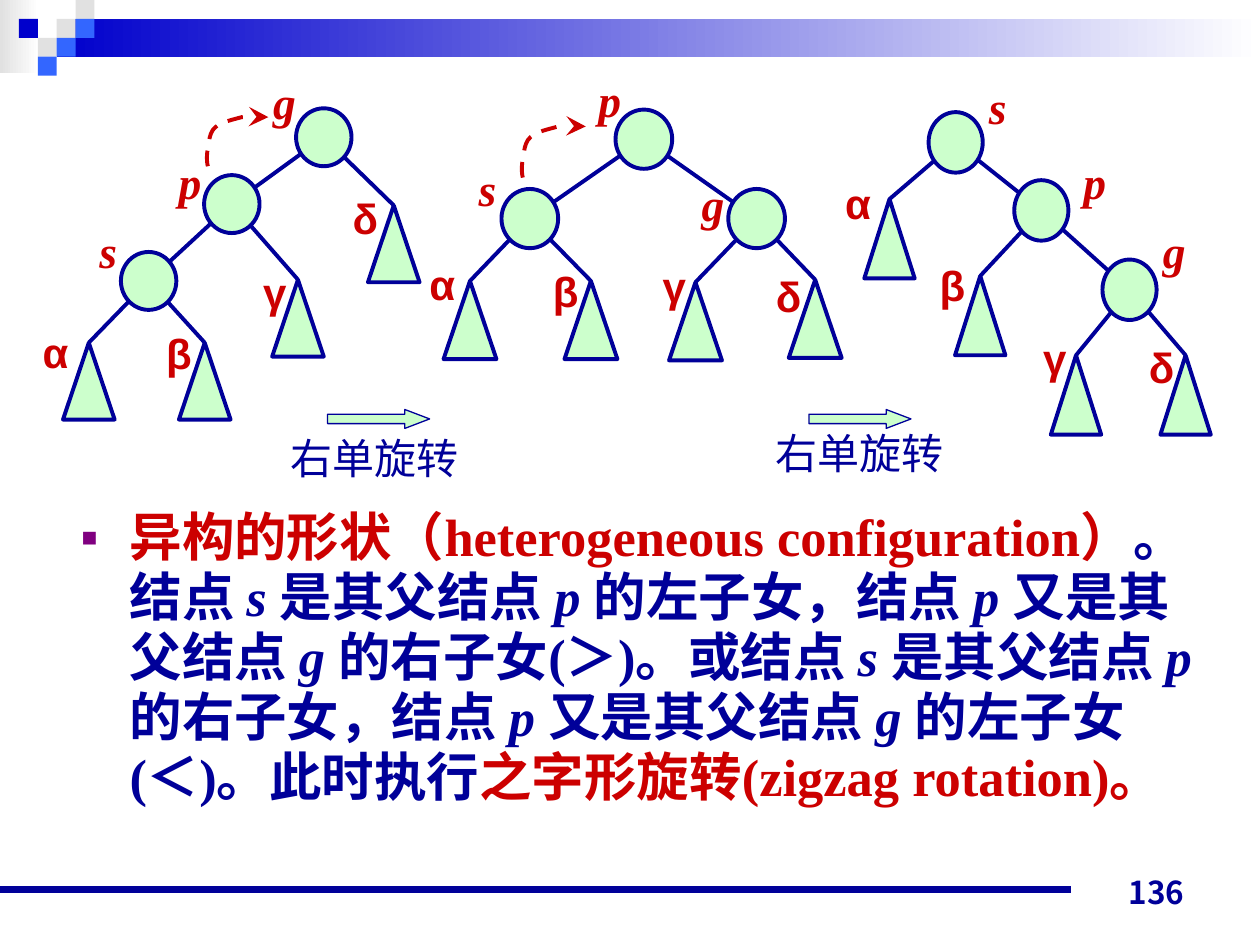
from math import hypot

from lxml import etree
from pptx import Presentation
from pptx.dml.color import RGBColor
from pptx.enum.dml import MSO_LINE
from pptx.enum.lang import MSO_LANGUAGE_ID
from pptx.enum.shapes import MSO_CONNECTOR, MSO_SHAPE
from pptx.enum.text import MSO_ANCHOR, PP_ALIGN
from pptx.oxml.ns import qn
from pptx.util import Inches, Pt

BOX, DISC = MSO_SHAPE.RECTANGLE, MSO_SHAPE.OVAL
CONE, ARROW = MSO_SHAPE.ISOSCELES_TRIANGLE, MSO_SHAPE.RIGHT_ARROW
LINE, DASH = MSO_CONNECTOR.STRAIGHT, MSO_LINE.DASH
LEFT, RIGHT, JUST = PP_ALIGN.LEFT, PP_ALIGN.RIGHT, PP_ALIGN.JUSTIFY
TOP, BOTTOM = MSO_ANCHOR.TOP, MSO_ANCHOR.BOTTOM
CHINESE = MSO_LANGUAGE_ID.SIMPLIFIED_CHINESE

NAVY, RED, MINT = "000099", "CC0000", "CCFFCC"
BLUE, SKY, GREY, WHITE = "0000CC", "3366FF", "E1E1E1", "FFFFFF"
PURPLE = "800080"
SERIF, SANS, CJK = "Times New Roman", "Arial", "Noto Sans CJK JP"

# The slide is a grid of 100 columns by 75 rows.
COLS, ROWS = 100, 75
CELL = Inches(10) / COLS

# Tiles of the corner pattern: column, row, colour.
TILE = 1.5
TILES = [(3, 1, GREY), (4, 0, GREY), (4, 1, SKY), (2, 2, GREY),
         (1, 1, BLUE), (3, 2, SKY), (2, 3, SKY)]

# Each tree: disc size, cone size, then parts and edges.
# Discs give their centre, cones their tip; label corners follow.
TREES = [
    ((4.4, 4.6), (4.1, 6.1),
     {"g": (25.7, 10.9, 20.7, 5.4), "p": (18.4, 16.2, 13.2, 11.7),
      "s": (11.8, 22.3, 6.9, 17.2)},
     {"α": (7.05, 27.2, 2.4, 25.4), "β": (16.25, 27.2, 12.2, 25.5),
      "γ": (23.65, 22.2, 19.9, 20.7), "δ": (31.25, 16.3, 27, 14.8)},
     "gp gδ ps pγ sα sβ"),
    ((4.5, 4.7), (4.2, 6.2),
     {"p": (51.1, 11.05, 46.5, 5.2), "s": (42.05, 17.35, 37, 12.3),
      "g": (60.05, 17.35, 54.7, 13.5)},
     {"α": (37.3, 22.3, 33.1, 20), "β": (46.9, 22.3, 42.9, 20.6),
      "γ": (55.2, 22.4, 51.6, 20.2), "δ": (64.7, 22.2, 60.6, 21)},
     "ps pg sα sβ gγ gδ"),
    ((4.3, 4.8), (4, 6.3),
     {"s": (75.85, 11.3, 77.5, 5.8), "p": (82.65, 16.7, 85, 11.7),
      "g": (89.65, 23, 91.3, 17.2)},
     {"α": (70.6, 15.8, 66.1, 13.6), "β": (77.8, 21.9, 73.6, 20.1),
      "γ": (85.4, 28.2, 81.8, 25.9), "δ": (94.1, 28.2, 90.2, 26.6)},
     "sα sp pβ pg gγ gδ"),
]

# Bezier curves of a turn mark, measured from its start.
TURN = [[(0, 0), (-.1, -.4), (-.1, -.9), (0, -1.4)],
        [(0, -1.4), (.1, -1.9), (.1, -2.7), (.6, -3.1)],
        [(.6, -3.1), (1, -3.5), (2, -3.7), (2.7, -3.9)],
        [(2.7, -3.9), (3.4, -4), (4.4, -3.9), (4.8, -3.9)]]

HEAD = "异构的形状（heterogeneous configuration）"
# Parts between bars are roman and italic by turns.
RULE = ("。结点 |s |是其父结点 |p |的左子女，结点 |p |又是其父结点 |g "
        "|的右子女(＞)。或结点 |s |是其父结点 |p |的右子女，结点 |p "
        "|又是其父结点 |g |的左子女(＜)。此时执行")
TAIL = "之字形旋转(zigzag rotation)。"


def rgb(code):
    return RGBColor.from_string(code)


def at(*cells):
    """Turn grid cells into slide lengths."""
    return [round(c * CELL) for c in cells]


def pen(line, color, width):
    line.color.rgb = rgb(color)
    line.width = Pt(width)


def shape(slide, kind, x, y, w, h, fill, fade=None, width=0):
    item = slide.shapes.add_shape(kind, *at(x, y, w, h))
    item.shadow.inherit = False
    if fade:
        item.fill.gradient()
        item.fill.gradient_angle = 0
        for stop, color in zip(item.fill.gradient_stops, (fill, fade)):
            stop.color.rgb = rgb(color)
    else:
        item.fill.solid()
        item.fill.fore_color.rgb = rgb(fill)
    if width:
        pen(item.line, NAVY, width)
    else:
        item.line.fill.background()
    return item


def link(slide, x, y, x2, y2, width=2.25):
    item = slide.shapes.add_connector(LINE, *at(x, y, x2, y2))
    etree.SubElement(item._element.spPr, qn("a:effectLst"))
    pen(item.line, NAVY, width)


def text(slide, x, y, w, h, runs, size=24, font=SANS, color=NAVY, bold=True,
         italic=False, align=LEFT, anchor=TOP, wrap=True):
    """Add a text box; runs is a string or (string, colour, italic) rows."""
    frame = slide.shapes.add_textbox(*at(x, y, w, h)).text_frame
    frame.word_wrap = wrap
    frame.vertical_anchor = anchor
    par = frame.paragraphs[0]
    par.alignment = align
    if isinstance(runs, str):
        runs = [(runs, color, italic)]
    for words, tint, slant in runs:
        run = par.add_run()
        run.text = words
        face = run.font
        face.name, face.size, face.bold = font, Pt(size), bold
        face.italic, face.color.rgb = slant, rgb(tint)
        face.language_id = CHINESE
        east = etree.Element(qn("a:ea"), typeface=CJK)
        face._element.find(qn("a:latin")).addnext(east)
    return par


def bullet(par, mark, color, share, indent):
    """Set a hanging bullet and keep punctuation inside the margin."""
    props = par._p.get_or_add_pPr()
    props.set("marL", str(Inches(indent)))
    props.set("indent", str(-Inches(indent)))
    props.set("hangingPunct", "0")
    tint = etree.SubElement(props, qn("a:buClr"))
    etree.SubElement(tint, qn("a:srgbClr"), val=color)
    etree.SubElement(props, qn("a:buSzPct"), val=str(share * 1000))
    etree.SubElement(props, qn("a:buFont"), typeface=SANS)
    etree.SubElement(props, qn("a:buChar"), char=mark)


def tree(slide, disc, cone, nodes, leaves, edges):
    spots = {**nodes, **leaves}
    for a, b in edges.split():
        (x, y), (x2, y2) = spots[a][:2], spots[b][:2]
        part = disc[0] / 2 / hypot(x2 - x, y2 - y)
        dx, dy = (x2 - x) * part, (y2 - y) * part
        if b in nodes:
            x2, y2 = x2 - dx, y2 - dy
        link(slide, x + dx, y + dy, x2, y2)
    for kind, (w, h), rise, parts, look in (
            (DISC, disc, disc[1] / 2, nodes,
             {"size": 26, "font": SERIF, "italic": True}),
            (CONE, cone, 0, leaves, {})):
        for name, (x, y, left, top) in parts.items():
            shape(slide, kind, x - w / 2, y - rise, w, h, MINT, width=2.25)
            text(slide, left, top, 6.9, 6.6, name, color=RED, align=JUST,
                 **look)


def turn(slide, x, y, scale=1, steps=6):
    """Draw a dashed curve with an arrowhead, starting at x, y."""
    spots = []
    for curve in TURN:
        for i in range(1, steps + 1):
            t = i / steps
            share = ((1 - t) ** 3, 3 * t * (1 - t) ** 2,
                     3 * t * t * (1 - t), t ** 3)
            dx, dy = (sum(s * p[k] for s, p in zip(share, curve))
                      for k in (0, 1))
            spots.append(at(x + dx * scale, y + dy * scale))
    path = slide.shapes.build_freeform(*at(x, y))
    path.add_line_segments(spots, close=False)
    item = path.convert_to_shape()
    item.shadow.inherit = False
    item.fill.background()
    pen(item.line, RED, 2.25)
    item.line.dash_style = DASH
    etree.SubElement(item.line._get_or_add_ln(), qn("a:tailEnd"),
                     type="stealth", w="lg", len="lg")


def frame(slide):
    shape(slide, BOX, 0, 0, 3.1, 5.8, GREY, fade=WHITE)
    shape(slide, BOX, 4.5, 1.5, 95.5, 3, BLUE, fade=WHITE)
    for col, row, color in TILES:
        shape(slide, BOX, col * TILE, row * TILE, TILE, TILE, color)
    link(slide, 0, 70.6, 85, 70.6, width=4.5)
    text(slide, 71.7, 67.8, 23.3, 5, "136", size=18, font=CJK, align=RIGHT,
         anchor=BOTTOM)


def main():
    deck = Presentation()
    deck.slide_width, deck.slide_height = at(COLS, ROWS)
    slide = deck.slides.add_slide(deck.slide_layouts[6])
    frame(slide)

    rule = [(words, NAVY, i % 2 == 1)
            for i, words in enumerate(RULE.split("|"))]
    body = text(slide, 5.5, 39.9, 90.6, 31.5,
                [(HEAD, RED, False), *rule, (TAIL, RED, False)],
                size=30, font=SERIF)
    bullet(body, "■", PURPLE, 50, 0.38)
    body.line_spacing = 0.95

    for parts in TREES:
        tree(slide, *parts)
    turn(slide, 16.5, 13.2)
    turn(slide, 41.5, 14.1, scale=1.04)

    for x, left, top in ((26, 22.1, 33.8), (64.2, 60.6, 33.4)):
        arrow = shape(slide, ARROW, x, 32.5, 8.1, 1.5, MINT, width=0.75)
        arrow.adjustments[1] = 1.31
        text(slide, left, top, 15.3, 5, "右单旋转", bold=False, wrap=False)
    deck.save("out.pptx")


if __name__ == "__main__":
    main()
